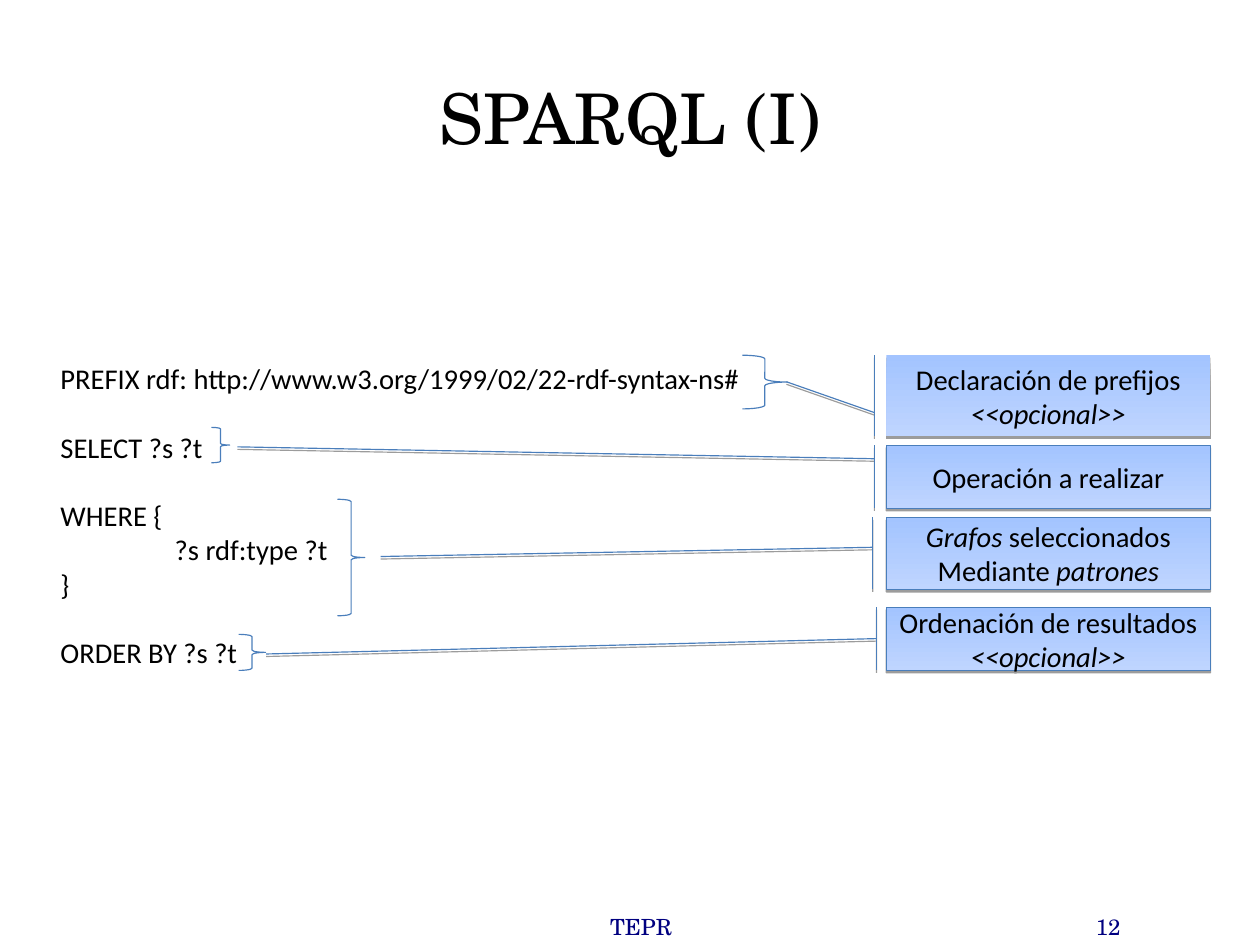
from lxml.etree import SubElement
from pptx import Presentation
from pptx.dml.color import RGBColor
from pptx.enum.shapes import MSO_SHAPE as Preset
from pptx.enum.text import MSO_ANCHOR as Anchor, PP_ALIGN as Align
from pptx.oxml.ns import qn
from pptx.util import Pt

COLORS = {
    "text": "000000",
    "footer": "000080",
    "line": "4A7EBB",
    "fill_top": "A3C4FF",
    "fill_bottom": "BFD5FF",
    "shadow": "000000",
}
SANS = "Calibri"
SERIF = "TeX Gyre Schola"
BODY_SIZE = 18
LINE_GAP = 21.5
LABEL_LEFT, LABEL_WIDTH = 558.3, 204.2

QUERY = [
    ("PREFIX rdf: http://www.w3.org/1999/02/22-rdf-syntax-ns#", 0, 0),
    ("SELECT ?s ?t", LINE_GAP, 0),
    ("WHERE {", LINE_GAP, 0),
    ("?s rdf:type ?t", 0, 72),
    ("}", 0, 0),
    ("ORDER BY ?s ?t", LINE_GAP, 0),
]

BRACES = [
    (467.7, 223.8, 28.2, 33.8),
    (133.2, 269.2, 11.5, 22.3),
    (212.6, 314.5, 17.2, 73.4),
    (150.3, 399.6, 17, 22.7),
]

BORDERED = Preset.LINE_CALLOUT_1_BORDER_AND_ACCENT_BAR
OPTIONAL = [("<<opcional>>", True)]
CALLOUTS = [
    (Preset.LINE_CALLOUT_1_ACCENT_BAR, 223.7, 51.1, (550.8, 259.9), (495.4, 240.5),
     [[("Declaración de prefijos", False)], OPTIONAL]),
    (BORDERED, 280.5, 39.7, (550.8, 289), (149.6, 281.5),
     [[("Operación a realizar", False)]]),
    (BORDERED, 325.9, 45.4, (549.8, 344.8), (239.8, 350.6),
     [[("Grafos", True), (" seleccionados", False)],
      [("Mediante ", False), ("patrones", True)]]),
    (BORDERED, 382.5, 39.8, (552.1, 402.3), (167.6, 412),
     [[("Ordenación de resultados", False)], OPTIONAL]),
]


def rgb(name):
    return RGBColor.from_string(COLORS[name])


def set_font(para, face, size, color):
    para.font.name = face
    para.font.size = Pt(size)
    para.font.color.rgb = rgb(color)


def add_label(page, text, left, top, width, height, size, color, align, anchor):
    box = page.shapes.add_textbox(Pt(left), Pt(top), Pt(width), Pt(height))
    frame = box.text_frame
    frame.word_wrap = True
    frame.vertical_anchor = anchor
    frame.margin_left = frame.margin_right = 0
    frame.margin_top = frame.margin_bottom = 0
    para = frame.paragraphs[0]
    para.text = text
    para.alignment = align
    set_font(para, SERIF, size, color)


def add_footer(page, text, left, width, align):
    add_label(page, text, left, 575.2, width, 19.4, 14, "footer", align, Anchor.TOP)


def add_query(page):
    box = page.shapes.add_textbox(Pt(31), Pt(223.9), Pt(516.2), Pt(202.3))
    frame = box.text_frame
    frame.word_wrap = True
    for index, (text, gap, indent) in enumerate(QUERY):
        para = frame.add_paragraph() if index else frame.paragraphs[0]
        para.text = text
        para.space_before = Pt(gap)
        para._p.get_or_add_pPr().set("marL", str(Pt(indent)))
        set_font(para, SANS, BODY_SIZE, "text")


def add_outlined(page, preset, left, top, width, height):
    shape = page.shapes.add_shape(preset, Pt(left), Pt(top), Pt(width), Pt(height))
    shape.shadow.inherit = False
    shape.line.color.rgb = rgb("line")
    shape.line.width = Pt(0.75)
    return shape


def add_brace(page, left, top, width, height):
    brace = add_outlined(page, Preset.RIGHT_BRACE, left, top, width, height)
    brace.fill.background()


def add_shadow(shape):
    effects = shape._element.spPr.find(qn("a:effectLst"))
    shadow = SubElement(effects, qn("a:outerShdw"), dist=str(Pt(1.6)),
                        dir="5400000", rotWithShape="0")
    color = SubElement(shadow, qn("a:srgbClr"), val=COLORS["shadow"])
    SubElement(color, qn("a:alpha"), val="38000")


def add_callout(page, preset, top, height, start, end, lines):
    callout = add_outlined(page, preset, LABEL_LEFT, top, LABEL_WIDTH, height)
    for index, (x, y) in enumerate((start, end)):
        callout.adjustments[2 * index] = (y - top) / height
        callout.adjustments[2 * index + 1] = (x - LABEL_LEFT) / LABEL_WIDTH
    callout.fill.gradient()
    callout.fill.gradient_angle = 270
    for stop, name in zip(callout.fill.gradient_stops, ("fill_top", "fill_bottom")):
        stop.color.rgb = rgb(name)
    add_shadow(callout)
    frame = callout.text_frame
    frame.word_wrap = False
    frame.vertical_anchor = Anchor.MIDDLE
    for index, spans in enumerate(lines):
        para = frame.add_paragraph() if index else frame.paragraphs[0]
        para.alignment = Align.CENTER
        set_font(para, SANS, BODY_SIZE, "text")
        for text, italic in spans:
            span = para.add_run()
            span.text = text
            span.font.italic = italic


def main():
    deck = Presentation()
    deck.slide_width, deck.slide_height = Pt(793.7), Pt(595.28)
    page = deck.slides.add_slide(deck.slide_layouts[6])
    add_label(page, "SPARQL (I)", 39.7, 23.8, 714.2, 99.4, 44, "text",
              Align.CENTER, Anchor.MIDDLE)
    add_query(page)
    for callout in CALLOUTS:
        add_callout(page, *callout)
    for brace in BRACES:
        add_brace(page, *brace)
    add_footer(page, "TEPR", 212.6, 382.3, Align.CENTER)
    add_footer(page, "12", 606.7, 99.2, Align.RIGHT)
    deck.save("out.pptx")


if __name__ == "__main__":
    main()
